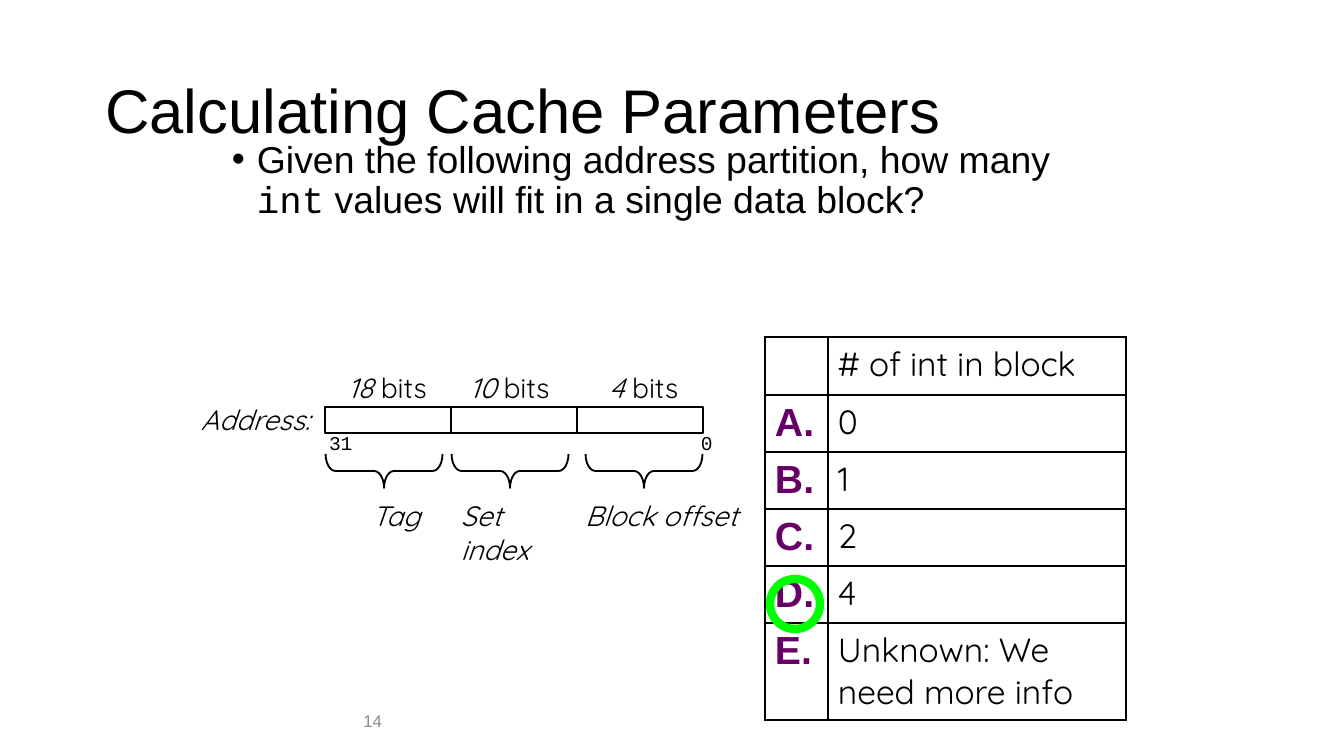
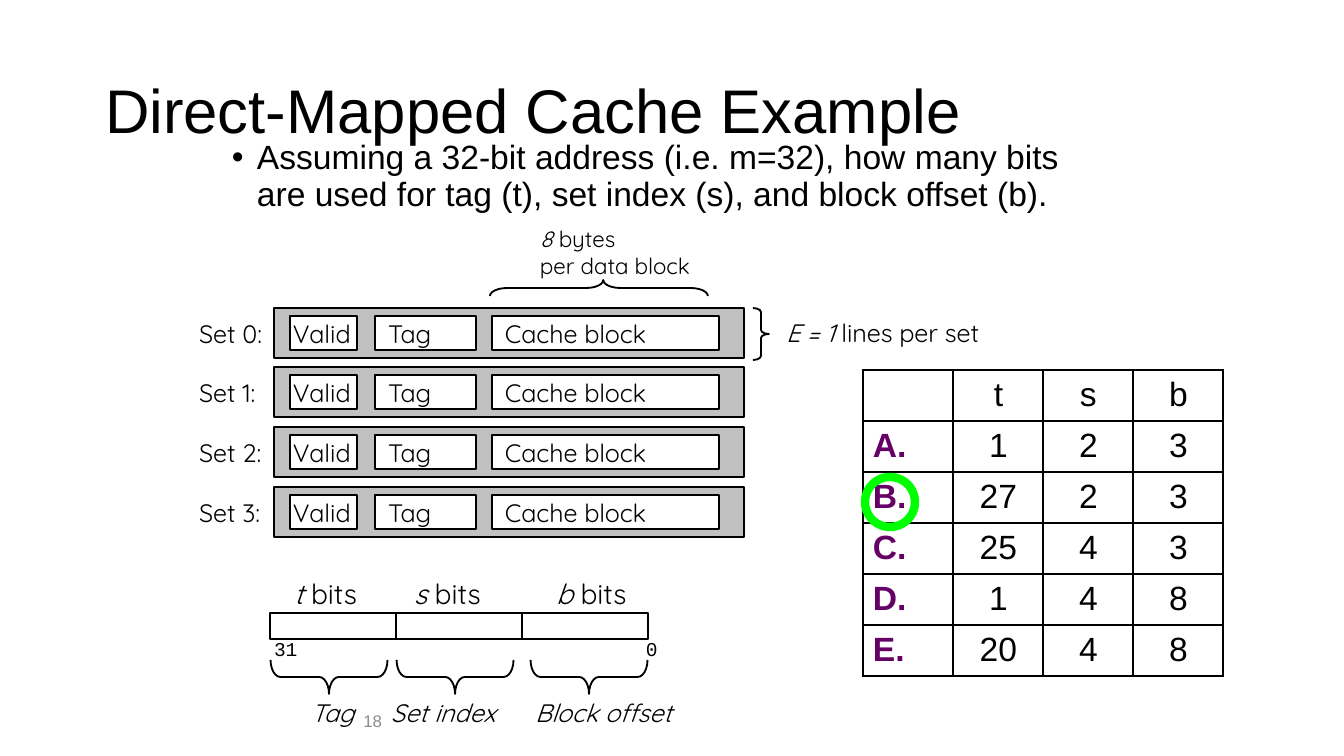
"""Build two cache quiz slides: an address partition and a direct-mapped cache."""
from lxml import etree
from pptx import Presentation
from pptx import util as u
from pptx.dml.color import RGBColor
from pptx.enum import shapes, text
from pptx.oxml import ns

EMU_PER_PX = 914400 / 134.4
COLORS = {
    "black": "000000",
    "white": "FFFFFF",
    "grey": "C0C0C0",
    "number": "8B8B8B",
    "option": "660066",
    "answer": "00FF00",
}
BODY, HAND, CODE = "Arial", "Quicksand", "Courier New"
WIDE, TIGHT, CELL = (13, 7, 13, 7), (9, 6, 9, 5), (10, 6, 9, 4)
ALIGN = {"left": text.PP_ALIGN.LEFT, "center": text.PP_ALIGN.CENTER, "right": text.PP_ALIGN.RIGHT}
MIDDLE, TOP = text.MSO_ANCHOR.MIDDLE, text.MSO_ANCHOR.TOP
SHAPE = shapes.MSO_SHAPE
ITALIC, UPRIGHT = {"italic": True}, {"italic": False}
PARTS_LEFT = (0, 126, 252)
BRACE_CENTERS = (59, 185, 319)


def px(length):
    """Turn pixels into EMU."""
    return u.Emu(round(length * EMU_PER_PX))


def rgb(name):
    """Look up a named colour."""
    return RGBColor.from_string(COLORS[name])


def add_element(parent, tag, **attributes):
    """Append a DrawingML element and return it."""
    return etree.SubElement(parent, ns.qn(tag), attributes)


def style_font(font, size, face, color, bold=False, italic=False):
    """Set every format of a font."""
    font.size, font.name = u.Pt(size), face
    font.bold, font.italic = bold, italic
    font.color.rgb = rgb(color)


def write(frame, lines, align="left", spacing=None, size=15, face=HAND, color="black", bold=False, italic=False):
    """Fill a text frame; a line is a string or a list of (text, overrides) runs."""
    base = dict(size=size, face=face, color=color, bold=bold, italic=italic)
    for index, line in enumerate(lines):
        paragraph = frame.add_paragraph() if index else frame.paragraphs[0]
        paragraph.alignment = ALIGN[align]
        if spacing:
            paragraph.line_spacing = spacing
        for words, overrides in [(line, {})] if isinstance(line, str) else line:
            run = paragraph.add_run()
            run.text = words
            style_font(run.font, **{**base, **overrides})


def set_frame(frame, insets, anchor, wrap):
    """Set the insets, anchor and wrapping of a text frame."""
    frame.margin_left, frame.margin_top, frame.margin_right, frame.margin_bottom = map(px, insets)
    frame.vertical_anchor, frame.word_wrap = anchor, wrap


def add_text(slide, box, *lines, insets=WIDE, anchor=MIDDLE, wrap=False, **style):
    """Add a text box and return its frame."""
    frame = slide.shapes.add_textbox(*map(px, box)).text_frame
    set_frame(frame, insets, anchor, wrap)
    write(frame, lines, **style)
    return frame


def add_shape(slide, kind, box, fill=None, line="black", width=1):
    """Add an outlined preset shape."""
    shape = slide.shapes.add_shape(kind, *map(px, box))
    shape.shadow.inherit = False
    if fill:
        shape.fill.solid()
        shape.fill.fore_color.rgb = rgb(fill)
    else:
        shape.fill.background()
    shape.line.color.rgb = rgb(line)
    shape.line.width = u.Pt(width)
    return shape


def add_brace(slide, center_x, center_y, width, height, rotation=0, curve=0.29, point=0.5):
    """Add a right brace turned about its centre."""
    box = (center_x - width / 2, center_y - height / 2, width, height)
    brace = add_shape(slide, SHAPE.RIGHT_BRACE, box)
    brace.rotation = rotation
    brace.adjustments[0], brace.adjustments[1] = curve, point


def add_field(slide, box, label, left_inset):
    """Add a white labelled field of a cache line."""
    frame = add_shape(slide, SHAPE.RECTANGLE, box, fill="white").text_frame
    set_frame(frame, (left_inset, 7, 0, 7), MIDDLE, False)
    write(frame, [label], size=13.5)


def add_cache_set(slide, number, top):
    """Add one cache set with its label and fields."""
    add_shape(slide, SHAPE.RECTANGLE, (274, top, 470, 50), fill="grey")
    for left, width, label, inset in ((290, 67, "Valid", 3), (375, 101, "Tag", 13), (492, 227, "Cache block", 13)):
        add_field(slide, (left, top + 8, width, 34), label, inset)
    add_text(slide, (186, top + 4, 92, 43), f"Set {number}:", size=13.5)


def add_address(slide, left, top, bits, names, name_top, name_size):
    """Add a three-part address bar with bit counts, braces and part names."""
    for part_left, center in zip(PARTS_LEFT, BRACE_CENTERS):
        add_shape(slide, SHAPE.RECTANGLE, (left + part_left, top, 126, 26))
        add_brace(slide, left + center, top + 64, 34, 117, rotation=90)
    for offset, width, count, unit in bits:
        runs = [(count, ITALIC), (unit, UPRIGHT)]
        add_text(slide, (left + offset, top - 42, width, 43), runs, insets=TIGHT, anchor=TOP)
    for offset, width, name, wrap in names:
        box = (left + offset, top + name_top, width, 43)
        add_text(slide, box, name, insets=TIGHT, anchor=TOP, wrap=wrap, size=name_size, italic=True)
    for offset, width, digits in ((-9, 54, "31"), (363, 42, "0")):
        add_text(slide, (left + offset, top + 18, width, 36), digits, size=10.5, face=CODE)


def outline_cell(cell):
    """Draw thin black borders round a cell without fill."""
    properties = cell._tc.get_or_add_tcPr()
    for side in ("a:lnL", "a:lnR", "a:lnT", "a:lnB"):
        line = add_element(properties, side, w=str(u.Pt(1)))
        add_element(add_element(line, "a:solidFill"), "a:srgbClr", val=COLORS["black"])
    cell.fill.background()


def add_options(slide, left, top, widths, heights, rows, option, value):
    """Add the table of lettered answers."""
    box = (left, top, sum(widths), sum(heights))
    table = slide.shapes.add_table(len(rows), len(widths), *map(px, box)).table
    table.first_row = table.horz_banding = False
    for column, width in zip(table.columns, widths):
        column.width = px(width)
    for row, height, words in zip(table.rows, heights, rows):
        row.height = px(height)
        for index, (cell, word) in enumerate(zip(row.cells, words)):
            cell.margin_left, cell.margin_top, cell.margin_right, cell.margin_bottom = map(px, CELL)
            outline_cell(cell)
            if word:
                write(cell.text_frame, [word], **(value if index else option))
            else:
                cell.text_frame.paragraphs[0].font.size = u.Pt(18)


def add_answer_ring(slide, left, top):
    """Ring the right answer."""
    add_shape(slide, SHAPE.OVAL, (left, top, 50, 50), line="answer", width=4.5)


def add_slide(presentation, title, number, question, size):
    """Add a slide with its question, title and number."""
    slide = presentation.slides.add_slide(presentation.slide_layouts[6])
    style = dict(wrap=True, face=BODY)
    frame = add_text(slide, (219, 134, 890, 93), question, anchor=TOP, size=size, spacing=0.9, **style)
    properties = frame.paragraphs[0]._p.get_or_add_pPr()
    properties.set("marL", str(px(25)))
    properties.set("indent", str(px(-25)))
    add_element(properties, "a:buFont", typeface=BODY)
    add_element(properties, "a:buChar", char="•")
    add_text(slide, (92, 41, 1158, 146), title, size=33, spacing=0.9, **style)
    add_text(slide, (168, 701, 227, 40), number, size=9, color="number", align="right", **style)
    return slide


def add_parameters_slide(presentation):
    """Ask how many values fit in a block."""
    question = [
        ("Given the following address partition, how many ", {}),
        ("int", {"face": CODE}),
        (" values will fit in a single data block?", {}),
    ]
    slide = add_slide(presentation, "Calculating Cache Parameters", "14", question, 20)
    bits = ((14, 112, "18 ", "bits"), (136, 112, "10", " bits"), (275, 104, "4", " bits"))
    names = ((38, 84, "Tag", False), (127, 126, "Set index", True), (251, 188, "Block offset", False))
    add_address(slide, 325, 407, bits, names, 86, 15)
    add_text(slide, (188, 396, 145, 47), "Address:", italic=True)
    rows = (
        ("", "# of int in block"),
        ("A.", "0"),
        ("B.", "1"),
        ("C.", "2"),
        ("D.", "4"),
        ("E.", "Unknown: We need more info"),
    )
    option = dict(size=21, face=BODY, color="option", bold=True)
    add_options(slide, 765, 337, (63, 298), [58] + [57] * 4 + [97], rows, option, dict(size=18))
    add_answer_ring(slide, 770, 579)


def add_example_slide(presentation):
    """Ask how an address splits for a direct-mapped cache."""
    question = (
        "Assuming a 32-bit address (i.e. m=32), how many bits are used for "
        "tag (t), set index (s), and block offset (b)."
    )
    slide = add_slide(presentation, "Direct-Mapped Cache Example", "18", question, 18)
    for number in range(4):
        add_cache_set(slide, number, 308 + number * 179 // 3)
    add_brace(slide, 761, 334, 16, 52, curve=0.26)
    lines_per_set = [("E = 1", ITALIC), (" lines per set", UPRIGHT)]
    add_text(slide, (773, 311, 250, 43), lines_per_set, size=13.5)
    add_brace(slide, 599, 288, 16, 218, rotation=270, curve=1.08, point=0.52)
    block_size = [("8 ", ITALIC), ("bytes", UPRIGHT)]
    add_text(slide, (527, 219, 200, 67), block_size, "per data block", size=12, wrap=True)
    rows = (
        ("", "t", "s", "b"),
        ("A.", "1", "2", "3"),
        ("B.", "27", "2", "3"),
        ("C.", "25", "4", "3"),
        ("D.", "1", "4", "8"),
        ("E.", "20", "4", "8"),
    )
    option = dict(size=18, face=BODY, color="option", bold=True)
    value = dict(size=18, face=BODY, align="center")
    add_options(slide, 863, 370, [90] * 4, [51] * 6, rows, option, value)
    bits = ((15, 100, "t ", "bits"), (135, 100, "s ", "bits"), (277, 104, "b ", "bits"))
    names = ((32, 78, "Tag", False), (112, 149, "Set index", True), (256, 172, "Block offset", False))
    add_address(slide, 270, 613, bits, names, 78, 13.5)
    add_answer_ring(slide, 865, 477)


def main():
    """Build and save the presentation."""
    presentation = Presentation()
    presentation.slide_width, presentation.slide_height = px(1344), px(756)
    add_parameters_slide(presentation)
    add_example_slide(presentation)
    presentation.save("out.pptx")


if __name__ == "__main__":
    main()
